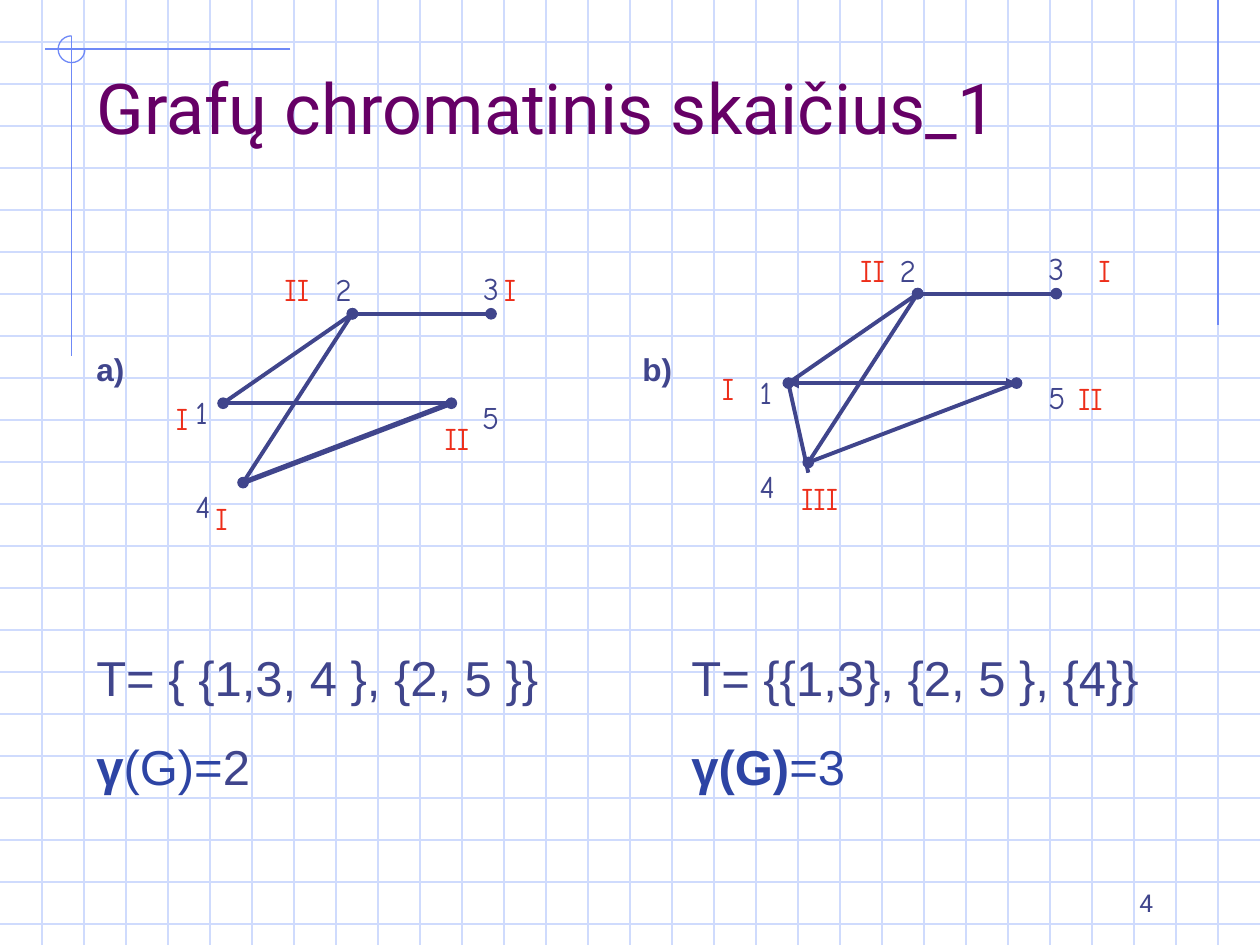
from lxml import etree
from pptx import Presentation
from pptx.dml.color import RGBColor
from pptx.enum.shapes import MSO_CONNECTOR, MSO_SHAPE
from pptx.enum.text import MSO_ANCHOR, PP_ALIGN
from pptx.oxml.ns import qn
from pptx.util import Pt

STRAIGHT = MSO_CONNECTOR.STRAIGHT
ARC = MSO_SHAPE.ARC
BOTTOM = MSO_ANCHOR.BOTTOM
LEFT, RIGHT = PP_ALIGN.LEFT, PP_ALIGN.RIGHT

THEME = {
    "grid": RGBColor.from_string("CFDBFD"),
    "accent": RGBColor.from_string("6F89F7"),
    "ink": RGBColor.from_string("40458C"),
    "title": RGBColor.from_string("660066"),
    "class": RGBColor.from_string("ED2D19"),
    "gamma": RGBColor.from_string("2D44A4"),
    "title_size": 40, "formula_size": 28, "label_size": 18, "number_size": 14,
    "main_font": "Roboto", "label_font": "Comic Neue", "formula_font": "Arial",
}
WIDTH, HEIGHT, CELL = 720, 540, 24

deck = Presentation()
deck.slide_width, deck.slide_height = Pt(WIDTH), Pt(HEIGHT)
page = deck.slides.add_slide(deck.slide_layouts[5])


def add_line(start, end, color, width=0.75, ends=None):
    line = page.shapes.add_connector(STRAIGHT, *(Pt(v) for v in (*start, *end)))
    line.line.color.rgb = THEME[color]
    line.line.width = Pt(width)
    properties = line._element.spPr
    if ends:
        outline = properties.find(qn("a:ln"))
        for tag in ("a:headEnd", "a:tailEnd"):
            etree.SubElement(outline, qn(tag), type=ends)
    etree.SubElement(properties, qn("a:effectLst"))


def add_text(left, top, width, height, paragraphs, size, font):
    """Each paragraph is a list of (text, colour, bold) spans."""
    box = page.shapes.add_textbox(Pt(left), Pt(top), Pt(width), Pt(height))
    frame = box.text_frame
    frame.word_wrap = True
    for index, spans in enumerate(paragraphs):
        para = frame.add_paragraph() if index else frame.paragraphs[0]
        if index:
            para.space_before = Pt(17.5)
        for text, color, bold in spans:
            span = para.add_run()
            span.text = text
            span.font.name = THEME[font]
            span.font.size = Pt(THEME[size])
            span.font.bold = bold
            span.font.color.rgb = THEME[color]
    return frame


# Squared paper
for y in range(CELL, HEIGHT - 1, CELL):
    add_line((0, y), (WIDTH, y), "grid")
for x in range(CELL, WIDTH, CELL):
    add_line((x, 0), (x, HEIGHT), "grid")

# Corner ornament and right margin line
add_line((696, 0), (696, 186), "accent")
add_line((166, 28), (25.5, 28), "accent")
add_line((41, 20.6), (41, 203.5), "accent")
ring = page.shapes.add_shape(ARC, Pt(33.25), Pt(20.5), Pt(15.3), Pt(15.3))
ring.adjustments[0] = 0
ring.adjustments[1] = 162  # 270 degrees in units of 1/0.6 degree
ring.fill.background()
ring.line.color.rgb = THEME["accent"]
ring.line.width = Pt(0.75)
ring.shadow.inherit = False

# Slide number
number = add_text(516, 492, 150, 36, [[("4", "ink", False)]], "number_size", "main_font")
number.vertical_anchor = BOTTOM
number.paragraphs[0].alignment = RIGHT

# Title, brought in front of the squared paper
title = page.shapes.title
title.left, title.top, title.width, title.height = Pt(48), Pt(24), Pt(612), Pt(64.5)
page.shapes._spTree.append(title._element)
title.text_frame.text = "Grafų chromatinis skaičius_1"
title.text_frame.vertical_anchor = BOTTOM
heading = title.text_frame.paragraphs[0]
heading.alignment = LEFT
heading.runs[0].font.name = THEME["main_font"]
heading.runs[0].font.size = Pt(THEME["title_size"])
heading.runs[0].font.color.rgb = THEME["title"]

# Graph a: vertices and edges
graph_a = {1: (127.5, 230.4), 2: (201.4, 179.3), 3: (280.6, 179.3),
           4: (138.9, 275.8), 5: (257.9, 230.4)}
for start, end, width, ends in [(1, 2, 2.25, None), (1, 5, 2.25, "oval"),
                                (5, 4, 3, None), (4, 2, 2.25, "oval"),
                                (2, 3, 2.25, "oval")]:
    add_line(graph_a[start], graph_a[end], "ink", width, ends)

# Graph b: the same vertices shifted, with a thin and a thick pass of edges
graph_b = {key: (x + 323, y - 11.5) for key, (x, y) in graph_a.items()}
below_4 = (graph_b[4][0], graph_b[4][1] + 5.8)
for width, long_ends in [(0.75, "triangle"), (2.25, "oval")]:
    add_line(graph_b[1], graph_b[5], "ink", width, long_ends)
    add_line(graph_b[2], graph_b[3], "ink", width, "oval")
    add_line(graph_b[1], graph_b[2], "ink", width)
    add_line(graph_b[1], below_4, "ink", width)
    add_line(graph_b[5], graph_b[4], "ink", width)
    add_line(graph_b[4], graph_b[2], "ink", width, "oval")

# Vertex numbers and colour classes: text, left, top, width
vertex_labels = [
    ("1", 104.5, 221, 23), ("2", 184.5, 151, 34), ("3", 269, 150, 34),
    ("4", 104.5, 275, 23), ("5", 268.5, 224, 28),
    ("1", 427, 209.5, 23), ("2", 507, 139.7, 34), ("3", 592, 139, 34),
    ("4", 427, 263.5, 23), ("5", 592, 212.5, 28),
]
class_labels = [
    ("I", 93.5, 224.6, 28), ("II", 155.5, 151, 45), ("I", 280.8, 151, 28),
    ("I", 116, 281.5, 28), ("II", 247, 236, 51),
    ("I", 405.4, 207.4, 28), ("II", 484.5, 139.7, 45), ("I", 620.6, 139.7, 28),
    ("III", 450.7, 270, 51), ("II", 609, 213, 51),
]
for color, labels in [("ink", vertex_labels), ("class", class_labels)]:
    for text, left, top, width in labels:
        add_text(left, top, width, 29, [[(text, color, False)]], "label_size", "label_font")

# Graph letters
for text, left in [("a)", 48), ("b)", 360)]:
    add_text(left, 196.6, 45, 29, [[(text, "ink", True)]], "label_size", "formula_font")

# Partitions and chromatic numbers
formulas = [
    (48, 306, "T= { {1,3, 4 }, {2, 5 }}",
     [("γ", "gamma", True), ("(G)=", "gamma", False), ("2", "ink", False)]),
    (388, 312, "T= {{1,3}, {2, 5 }, {4}}",
     [("γ(G)", "gamma", True), ("=3", "gamma", False)]),
]
for left, width, partition, chromatic in formulas:
    add_text(left, 366.5, width, 92, [[(partition, "ink", False)], chromatic],
             "formula_size", "formula_font")

deck.save("out.pptx")
